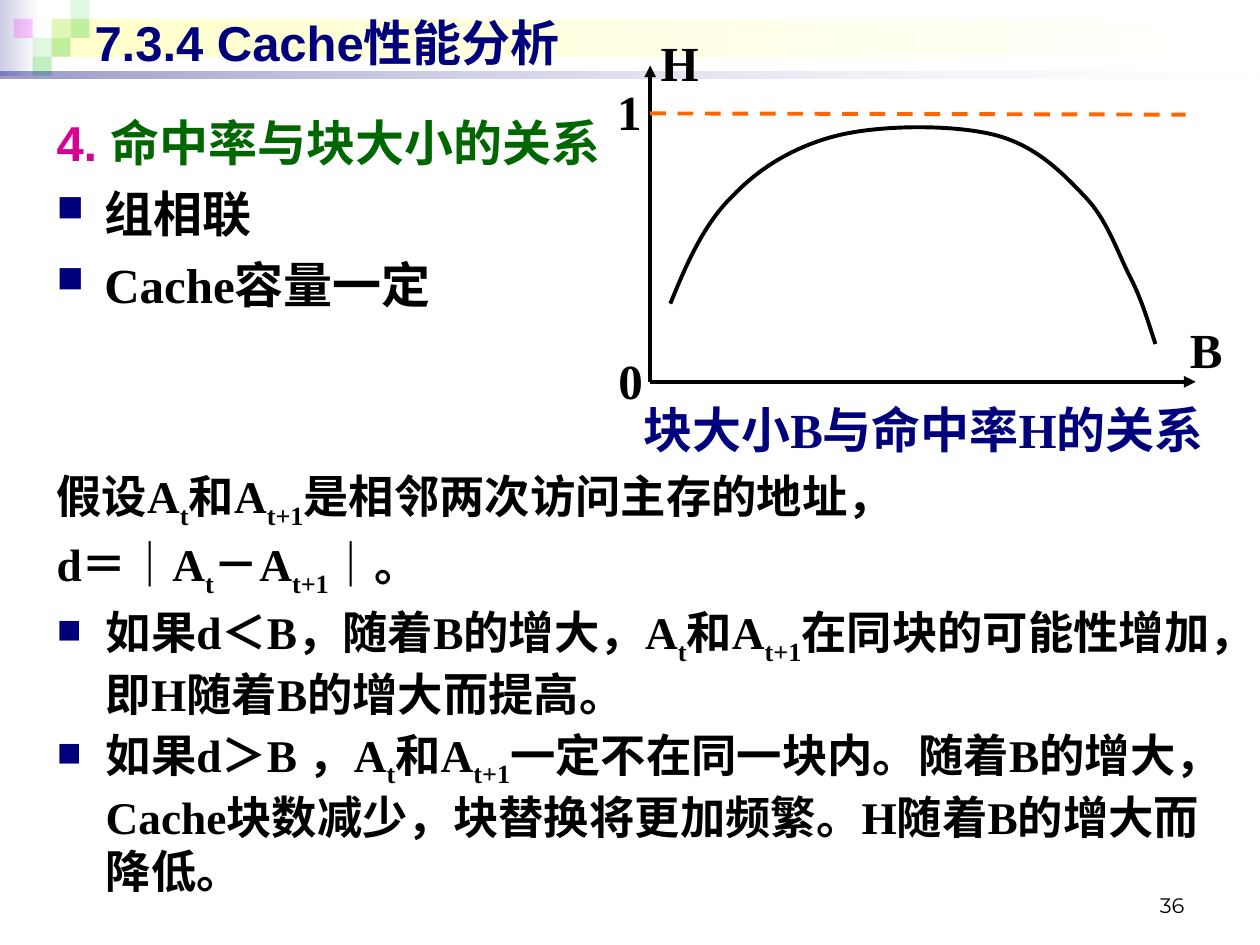
import dataclasses
import pptx
import pptx.dml.color
import pptx.enum.dml
import pptx.enum.shapes
import pptx.enum.text
import pptx.oxml
import pptx.oxml.ns
import pptx.util

Inches = pptx.util.Inches
Pt = pptx.util.Pt
qn = pptx.oxml.ns.qn
Align = pptx.enum.text.PP_ALIGN
Anchor = pptx.enum.text.MSO_ANCHOR


@dataclasses.dataclass(frozen=True)
class Theme:
    navy: str = "00007D"
    black: str = "000000"
    white: str = "FFFFFF"
    pink: str = "D60093"
    leaf: str = "006600"
    orange: str = "FF6600"
    lilac: str = "CCCCE6"
    cream: str = "FFFFCC"
    green: str = "33CC33"
    rose: str = "FF00FF"
    sans: str = "Arial"
    serif: str = "Times New Roman"
    plain: str = "Montserrat"
    big: float = 28
    text: float = 25.9
    small: float = 12
    line: float = 2.25


def color(name):
    return pptx.dml.color.RGBColor.from_string(name)


def child(parent, tag, **attrs):
    node = parent.makeelement(qn(tag), attrs)
    parent.append(node)
    return node


def fade(node, share):
    child(node, "a:alpha", val=str(share * 1000))


class Deck:
    def __init__(self, theme):
        self.theme = theme
        self.file = pptx.Presentation()
        self.file.slide_width = Inches(10)
        self.file.slide_height = Inches(7.5)
        self.slide = self.file.slides.add_slide(self.file.slide_layouts[5])
        self.shapes = self.slide.shapes

    def block(self, box):
        kind = pptx.enum.shapes.MSO_SHAPE.RECTANGLE
        shape = self.shapes.add_shape(kind, *map(Inches, box))
        shape.shadow.inherit = False
        shape.line.fill.background()
        return shape

    def tile(self, box, tone, share):
        fill = self.block(box).fill
        fill.solid()
        fill.fore_color.rgb = color(tone)
        fade(fill._xPr.find(".//" + qn("a:srgbClr")), share)

    def band(self, box, tone, shares=()):
        fill = self.block(box).fill
        fill.gradient()
        fill.gradient_angle = 180
        for stop, shade in zip(fill.gradient_stops, (self.theme.white, tone)):
            stop.color.rgb = color(shade)
        for node, share in zip(fill._xPr.iter(qn("a:srgbClr")), shares):
            fade(node, share)

    def style(self, part, size, face, tone, bold=True):
        font = part.font
        font.size = Pt(size)
        font.name = face
        font.bold = bold
        font.color.rgb = color(tone)

    def title(self, words, box):
        shape = self.shapes.title
        self.shapes._spTree.append(shape._element)
        shape.left, shape.top, shape.width, shape.height = map(Inches, box)
        frame = shape.text_frame
        frame.auto_size = pptx.enum.text.MSO_AUTO_SIZE.NONE
        frame.vertical_anchor = Anchor.MIDDLE
        frame.text = words
        para = frame.paragraphs[0]
        para.alignment = Align.LEFT
        self.style(para, self.theme.big, self.theme.sans, self.theme.navy)

    def frame(self, box, anchor=Anchor.TOP):
        frame = self.shapes.add_textbox(*map(Inches, box)).text_frame
        frame.word_wrap = True
        frame.vertical_anchor = anchor
        return frame

    def label(self, words, box, align=Align.CENTER, tone=None):
        para = self.frame(box).paragraphs[0]
        para.text = words
        para.alignment = align
        self.style(para, self.theme.big, self.theme.serif, tone or self.theme.black)

    def number(self, words, box):
        para = self.frame(box, Anchor.BOTTOM).paragraphs[0]
        para.text = words
        para.alignment = Align.RIGHT
        self.style(para, self.theme.small, self.theme.plain, self.theme.black, False)

    def para(self, frame, indent, gap, bullet):
        first = not frame.paragraphs[0].runs
        para = frame.paragraphs[0] if first else frame.add_paragraph()
        if not first:
            para.space_before = Pt(gap)
        props = para._p.get_or_add_pPr()
        props.set("marL", str(Inches(indent)))
        props.set("indent", str(-Inches(indent)))
        if bullet:
            child(child(props, "a:buClr"), "a:srgbClr", val=self.theme.navy)
            child(props, "a:buSzPct", val="75000")
            child(props, "a:buChar", char="■")
        else:
            child(props, "a:buNone")
        return para

    def heads(self, lead, topic, items, box):
        theme = self.theme
        frame = self.frame(box)
        para = self.para(frame, 0.38, 7, False)
        for words, tone in ((lead, theme.pink), (topic, theme.leaf)):
            run = para.add_run()
            run.text = words
            self.style(run, theme.big, theme.sans, tone)
        for words in items:
            para = self.para(frame, 0.38, 7, True)
            para.add_run().text = words
            self.style(para, theme.big, theme.serif, theme.black)

    def notes(self, rows, box):
        frame = self.frame(box)
        for words, bullet in rows:
            para = self.para(frame, 0.39, 3.5, bullet)
            for place, piece in enumerate(words.split("_")):
                run = para.add_run()
                run.text = piece
                if place % 2:
                    run._r.get_or_add_rPr().set("baseline", "-25000")
            self.style(para, self.theme.text, self.theme.serif, self.theme.black)

    def stroke(self, line, tone):
        line.color.rgb = color(tone)
        line.width = Pt(self.theme.line)

    def rule(self, start, end, tone, arrow=False):
        kind = pptx.enum.shapes.MSO_CONNECTOR.STRAIGHT
        rule = self.shapes.add_connector(kind, *map(Inches, start + end))
        self.stroke(rule.line, tone)
        if arrow:
            child(rule.line._get_or_add_ln(), "a:tailEnd", type="triangle")
        else:
            rule.line.dash_style = pptx.enum.dml.MSO_LINE.DASH
        child(rule._element.spPr, "a:effectLst")

    def curve(self, points):
        spots = [tuple(map(Inches, point)) for point in points]
        pen = self.shapes.build_freeform(*spots[0])
        pen.add_line_segments(spots[1:], close=False)
        shape = pen.convert_to_shape()
        shape.shadow.inherit = False
        shape.fill.background()
        self.stroke(shape.line, self.theme.black)
        legs = list(shape._element.iter(qn("a:lnTo")))
        track = legs[0].getparent()
        for place in range(0, len(legs), 3):
            bend = child(track, "a:cubicBezTo")
            for leg in legs[place:place + 3]:
                bend.append(leg[0])
                track.remove(leg)


def main():
    theme = Theme()
    deck = Deck(theme)
    deck.band((0, 0, 0.31, 0.6), theme.lilac)
    deck.band((0.41, 0.15, 9.55, 0.3), theme.cream)
    side = 0.15
    tiles = ((2, 1, 15), (3, 0, 15), (3, 1, 30), (1, 2, 15),
             (0, 1, 20), (2, 2, 30), (1, 3, 30))
    for col, row, share in tiles:
        tone = theme.green if col else theme.rose
        deck.tile((0.11 + col * side, row * side, side, side), tone, share)
    deck.band((0, 0.57, 10, 0.05), theme.navy, (10, 40))
    deck.number("36", (7.17, 6.83, 2.33, 0.5))
    deck.title("7.3.4 Cache性能分析", (0.65, 0.05, 9, 0.57))
    deck.heads("4. ", "命中率与块大小的关系", ("组相联", "Cache容量一定"),
               (0.35, 0.84, 9.45, 1.89))
    deck.label("块大小B与命中率H的关系", (4.69, 3.12, 4.96, 1.04),
               Align.RIGHT, theme.navy)
    zero = (5.16, 3.03)
    deck.rule(zero, (9.49, 3.03), theme.black, True)
    deck.rule(zero, (5.16, 0.52), theme.black, True)
    deck.rule((5.16, 0.9), (9.41, 0.91), theme.orange)
    for words, left, top, align in (("H", 5.08, 0.21, Align.CENTER),
                                    ("1", 4.68, 0.6, Align.CENTER),
                                    ("0", 4.69, 2.73, Align.CENTER),
                                    ("B", 9.17, 2.49, Align.RIGHT)):
        deck.label(words, (left, top, 0.63, 0.57), align)
    deck.curve((
        (5.32, 2.41), (5.45, 2.09), (5.59, 1.77), (5.82, 1.55),
        (6.04, 1.32), (6.33, 1.15), (6.67, 1.07),
        (7.02, 0.99), (7.57, 0.99), (7.89, 1.07),
        (8.21, 1.15), (8.42, 1.36), (8.6, 1.55),
        (8.78, 1.73), (8.86, 1.98), (8.96, 2.18),
        (9.06, 2.37), (9.11, 2.55), (9.17, 2.73)))
    deck.notes((
        ("假设A_t_和A_t+1_是相邻两次访问主存的地址，", False),
        ("d＝｜A_t_－A_t+1_｜。", False),
        ("如果d＜B，随着B的增大，A_t_和A_t+1_在同块的可能性增加，"
         "即H随着B的增大而提高。", True),
        ("如果d＞B ，A_t_和A_t+1_一定不在同一块内。随着B的增大，"
         "Cache块数减少，块替换将更加频繁。H随着B的增大而降低。", True),
    ), (0.35, 3.67, 9.45, 3.54))
    deck.file.save("out.pptx")


if __name__ == "__main__":
    main()
